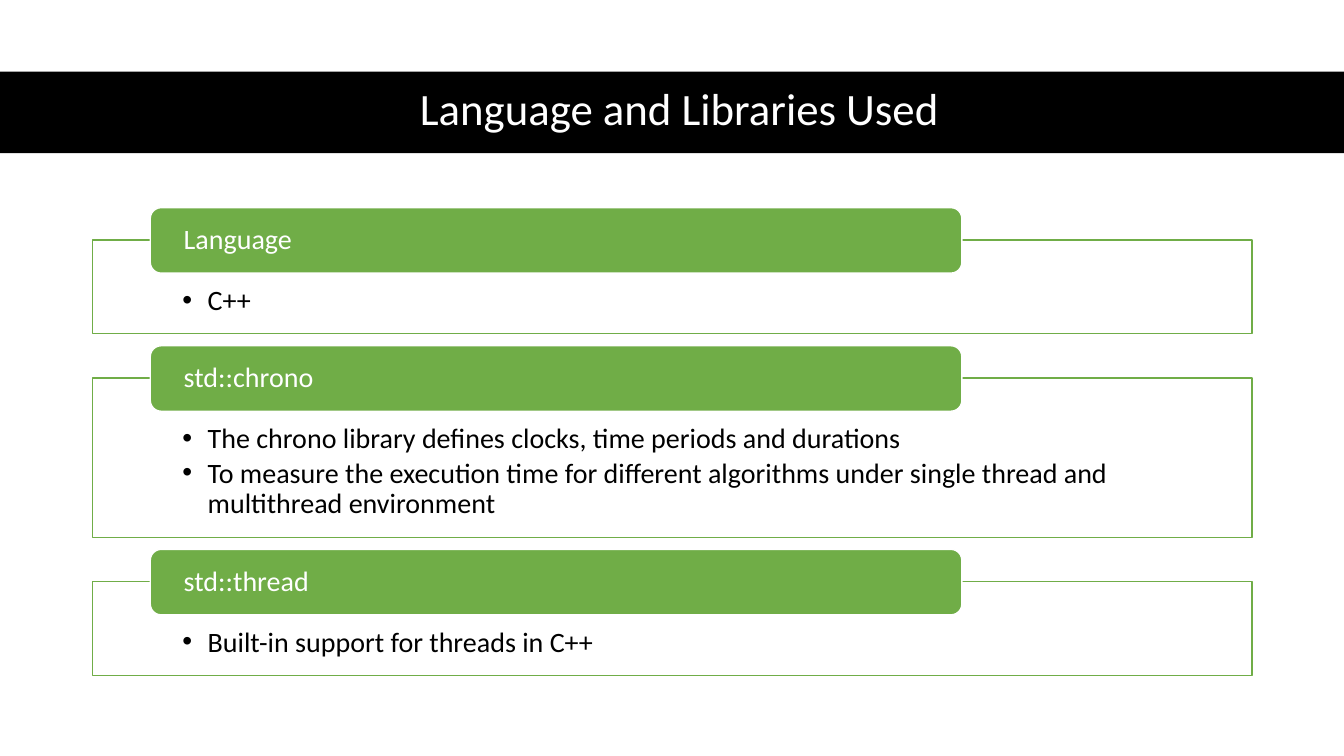
from lxml.etree import SubElement
from pptx import Presentation
from pptx.dml.color import RGBColor
from pptx.enum.shapes import MSO_SHAPE
from pptx.enum.text import MSO_ANCHOR, PP_ALIGN
from pptx.oxml.ns import qn
from pptx.util import Inches, Pt

BLACK = RGBColor(0x00, 0x00, 0x00)
WHITE = RGBColor(0xFF, 0xFF, 0xFF)
GREEN = RGBColor(0x70, 0xAD, 0x47)
FONT = "Calibri"

SECTION_LEFT, SECTION_WIDTH = 0.92, 11.5
FIRST_TOP, SECTION_GAP = 2.38, 0.44
LABEL_LEFT, LABEL_WIDTH, LABEL_HEIGHT = 1.49, 8.05, 0.65
LABEL_RISE = 0.32

# Label, height of the frame, bullets
SECTIONS = [
    ("Language", 0.93, ["C++"]),
    ("std::chrono", 1.58, [
        "The chrono library defines clocks, time periods and durations",
        "To measure the execution time for different algorithms under "
        "single thread and multithread environment",
    ]),
    ("std::thread", 0.93, ["Built-in support for threads in C++"]),
]


def add_panel(page, kind, left, top, width, height, fill, line=None):
    panel = page.shapes.add_shape(
        kind, Inches(left), Inches(top), Inches(width), Inches(height))
    panel.shadow.inherit = False
    panel.fill.solid()
    panel.fill.fore_color.rgb = fill
    if line is None:
        panel.line.fill.background()
    else:
        panel.line.color.rgb = line
        panel.line.width = Pt(1)
    return panel


def set_frame(box, anchor, left, top, right, bottom):
    frame = box.text_frame
    frame.word_wrap = True
    frame.vertical_anchor = anchor
    frame.margin_left, frame.margin_top = Inches(left), Inches(top)
    frame.margin_right, frame.margin_bottom = Inches(right), Inches(bottom)
    return frame


def write(para, text, size, color, align=PP_ALIGN.LEFT):
    para.alignment = align
    para.line_spacing = 0.9
    span = para.add_run()
    span.text = text
    span.font.name = FONT
    span.font.size = Pt(size)
    span.font.color.rgb = color


def add_bullet(para):
    para.level = 1
    para.space_after = Pt(3)
    properties = para._p.get_or_add_pPr()
    properties.set("marL", str(Inches(0.25)))
    properties.set("indent", str(Inches(-0.25)))
    SubElement(properties, qn("a:buFont")).set("typeface", "Arial")
    SubElement(properties, qn("a:buChar")).set("char", "•")


def add_title(page, text):
    add_panel(page, MSO_SHAPE.RECTANGLE, 0, 0.71, 13.33, 0.81, BLACK)
    box = page.shapes.add_textbox(
        Inches(0.61), Inches(0.7), Inches(12.26), Inches(0.81))
    frame = set_frame(box, MSO_ANCHOR.MIDDLE, 0.1, 0.05, 0.1, 0.05)
    write(frame.paragraphs[0], text, 32, WHITE, PP_ALIGN.CENTER)


def add_section(page, top, height, label, bullets):
    # Framed bullets
    body = add_panel(page, MSO_SHAPE.RECTANGLE, SECTION_LEFT, top,
                     SECTION_WIDTH, height, WHITE, GREEN)
    frame = set_frame(body, MSO_ANCHOR.TOP, 0.89, 0.46, 0.89, 0.16)
    for index, bullet in enumerate(bullets):
        para = frame.add_paragraph() if index else frame.paragraphs[0]
        write(para, bullet, 20, BLACK)
        add_bullet(para)

    # Label across the top edge
    tab = add_panel(page, MSO_SHAPE.ROUNDED_RECTANGLE, LABEL_LEFT,
                    top - LABEL_RISE, LABEL_WIDTH, LABEL_HEIGHT, GREEN, WHITE)
    frame = set_frame(tab, MSO_ANCHOR.MIDDLE, 0.3, 0, 0.3, 0)
    write(frame.paragraphs[0], label, 20, WHITE)


def main():
    deck = Presentation()
    deck.slide_width, deck.slide_height = Inches(13.33), Inches(7.5)
    page = deck.slides.add_slide(deck.slide_layouts[6])

    add_title(page, "Language and Libraries Used")
    top = FIRST_TOP
    for label, height, bullets in SECTIONS:
        add_section(page, top, height, label, bullets)
        top += height + SECTION_GAP

    deck.save("out.pptx")


if __name__ == "__main__":
    main()
